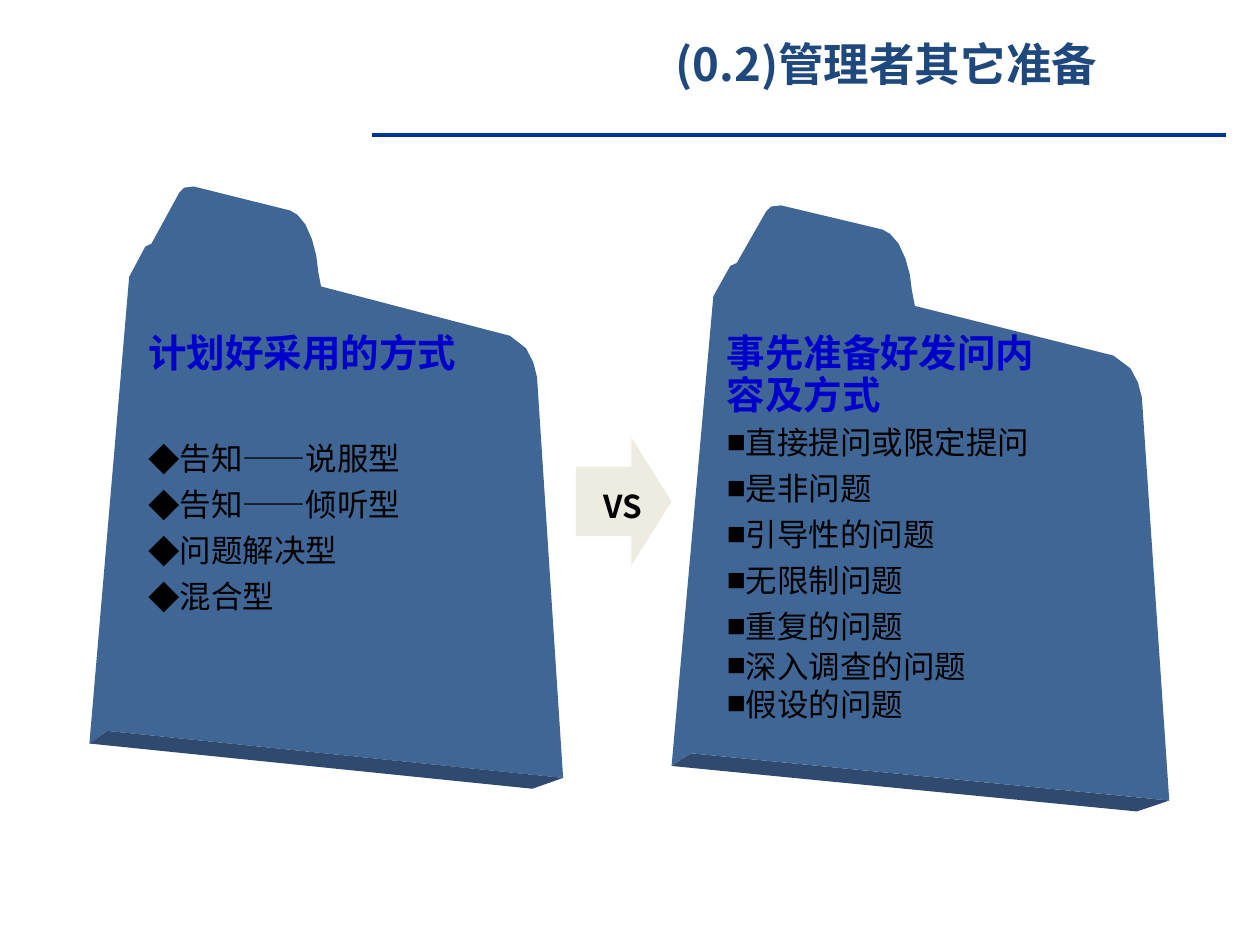
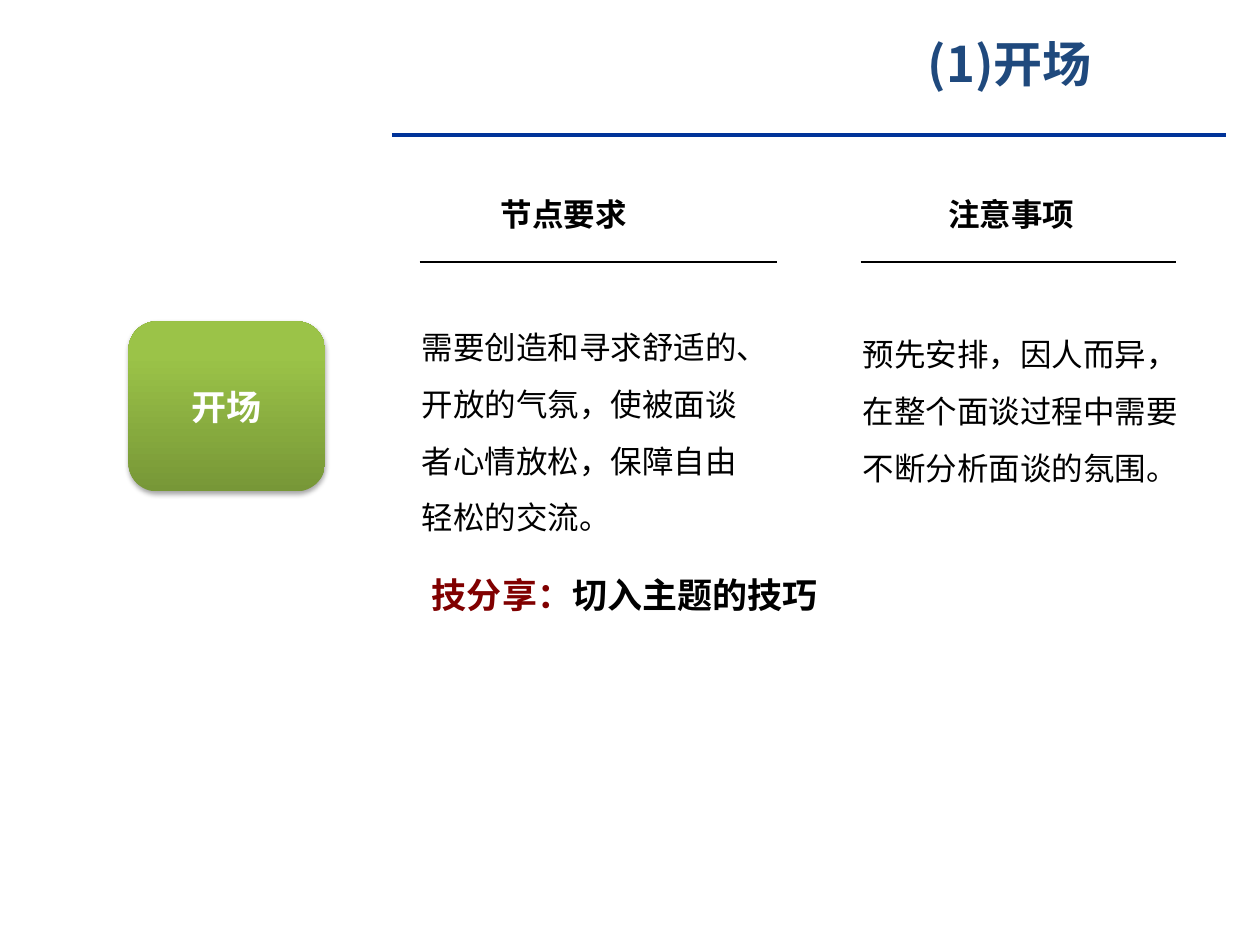
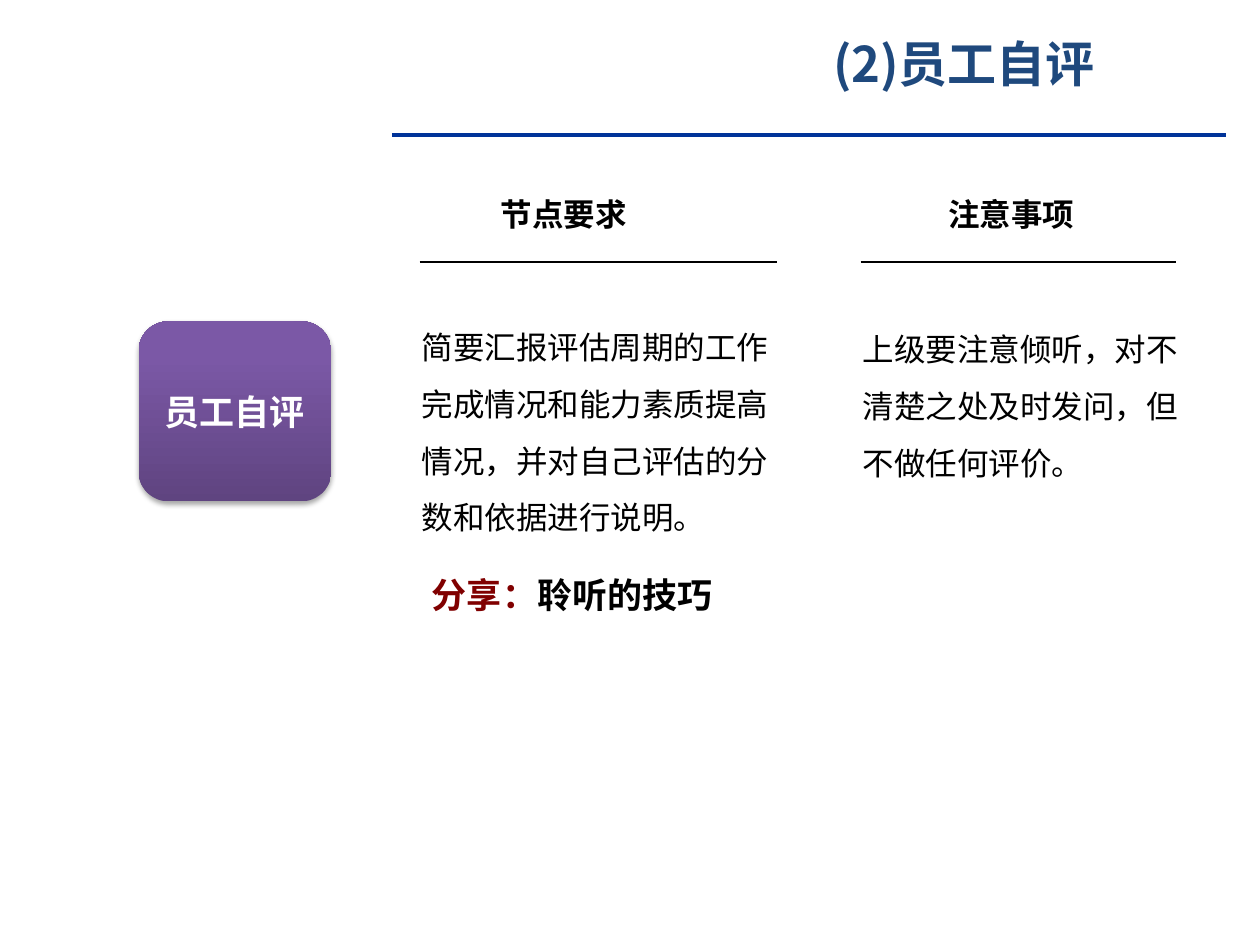
from lxml import etree
from pptx import Presentation
from pptx.dml.color import RGBColor
from pptx.enum.shapes import MSO_CONNECTOR, MSO_SHAPE
from pptx.enum.text import MSO_ANCHOR as ANCHOR, PP_ALIGN as ALIGN
from pptx.oxml import parse_xml
from pptx.oxml.ns import nsdecls, qn
from pptx.util import Inches, Pt

COLORS = {
    "title": "1F497D", "rule": "003399", "black": "000000", "white": "FFFFFF",
    "heading": "0000CC", "tip": "800000", "arrow": "EEECE1",
    "folder_front": "406695", "folder_edge": "2F4A6E",
}
CJK, LATIN = "Noto Sans CJK SC", "Arial"

# Folder outlines in thousandths of the folder's width and height
FOLDER_FRONT = [
    (84, 150), (118, 100), (131, 95), (190, 10), (200, 2), (220, 0), (424, 40),
    (439, 47), (456, 63), (470, 88), (479, 115), (483, 141), (489, 166),
    (888, 248), (922, 269), (937, 292), (945, 317), (1000, 982), (38, 904), (0, 925),
]
FOLDER_EDGE = [(0, 925), (38, 904), (1000, 982), (935, 1000)]


def write(frame, paragraphs, anchor=ANCHOR.TOP):
    """Fill a frame; each paragraph is (format values, runs), each run (text, size, colour, bold, font)."""
    frame.word_wrap = True
    frame.vertical_anchor = anchor
    for index, (values, runs) in enumerate(paragraphs):
        paragraph = frame.paragraphs[0] if index == 0 else frame.add_paragraph()
        for name, value in values.items():
            setattr(paragraph, name, value)
        for text, size, color, bold, typeface in runs:
            run = paragraph.add_run()
            run.text = text
            for name, value in {"size": Pt(size), "bold": bold, "name": typeface}.items():
                setattr(run.font, name, value)
            run.font.color.rgb = RGBColor.from_string(COLORS[color])
            etree.SubElement(run.font._element, qn("a:ea"), typeface=CJK)


def add_rule(slide, left, right, y, color, width):
    rule = slide.shapes.add_connector(
        MSO_CONNECTOR.STRAIGHT, Inches(left), Inches(y), Inches(right), Inches(y))
    rule.line.color.rgb = RGBColor.from_string(COLORS[color])
    rule.line.width = Pt(width)
    etree.SubElement(rule._element.spPr, qn("a:effectLst"))


prs = Presentation()
prs.slide_width, prs.slide_height = Inches(10), Inches(7.5)

# Title and rule of every slide
slides = []
for heading, left, width, size in [
    ("(0.2)管理者其它准备", 4.67, 4.73, 26),
    ("(1)开场", 6.11, 3.81, 28),
    ("(2)员工自评", 5.83, 3.64, 28),
]:
    slide = prs.slides.add_slide(prs.slide_layouts[5])
    title = slide.shapes.title
    title.left, title.top = Inches(left), Inches(0.17)
    title.width, title.height = Inches(width), Inches(0.66)
    write(title.text_frame, [({"alignment": ALIGN.CENTER}, [(heading, size, "title", True, CJK)])],
          ANCHOR.MIDDLE)
    add_rule(slide, 3.11, 9.73, 1.07, "rule", 2)
    slides.append(slide)

# Slide 1: two folders and the arrow between them
preparation, *stages = slides
add_rule(preparation, 2.95, 9.57, 1.07, "rule", 2)

arrow = preparation.shapes.add_shape(
    MSO_SHAPE.RIGHT_ARROW, Inches(4.57), Inches(3.47), Inches(0.76), Inches(1.02))
arrow.adjustments[0], arrow.adjustments[1] = 0.54, 0.42
arrow.fill.solid()
arrow.fill.fore_color.rgb = RGBColor.from_string(COLORS["arrow"])
arrow.line.fill.background()
arrow.shadow.inherit = False
versus = preparation.shapes.add_textbox(Inches(4.62), Inches(3.46), Inches(0.65), Inches(0.76))
write(versus.text_frame, [({"alignment": ALIGN.CENTER, "line_spacing": 2.2},
                           [("VS", 18, "black", True, CJK)])])

for left, top, width, height in [(0.71, 1.48, 3.76, 4.78), (5.33, 1.63, 3.95, 4.81)]:
    for outline, color in [(FOLDER_FRONT, "folder_front"), (FOLDER_EDGE, "folder_edge")]:
        builder = preparation.shapes.build_freeform(
            *outline[0], scale=(Inches(width) / 1000, Inches(height) / 1000))
        builder.add_line_segments(outline[1:], close=True)
        folder = builder.convert_to_shape(Inches(left), Inches(top))
        folder.fill.solid()
        folder.fill.fore_color.rgb = RGBColor.from_string(COLORS[color])
        folder.line.fill.background()
        folder.shadow.inherit = False

# Each item is (text, line spacing, points before)
methods = [("告知——说服型", 0.8, 41), ("告知——倾听型", 0.8, 9),
           ("问题解决型", 0.8, 9), ("混合型", 0.8, 9)]
questions = [("直接提问或限定提问", 0.8, 9), ("是非问题", 0.8, 9), ("引导性的问题", 0.8, 9),
             ("无限制问题", 0.8, 9), ("重复的问题", 0.8, 9),
             ("深入调查的问题", 0.6, 9), ("假设的问题", 0.6, 9)]
for box, headings, heading_spacing, items, bullet, bullet_font, indent in [
    ((1.08, 2.63, 3, 2.43), ["计划好采用的方式"], 0.8, methods, "◆", CJK, 0.25),
    ((5.67, 2.72, 3.29, 4.32), ["事先准备好发问内", "容及方式"], 0.5, questions, "■", LATIN, 0.15),
]:
    frame = preparation.shapes.add_textbox(*map(Inches, box)).text_frame
    write(frame, [({"line_spacing": heading_spacing, "space_before": Pt(11)},
                   [(text, 22, "heading", True, CJK)]) for text in headings]
          + [({"line_spacing": spacing, "space_before": Pt(before)},
              [(text, 18, "black", False, CJK)]) for text, spacing, before in items])
    for paragraph in frame.paragraphs[len(headings):]:
        properties = paragraph._p.get_or_add_pPr()
        properties.set("marL", str(Inches(indent)))
        properties.set("indent", str(-Inches(indent)))
        etree.SubElement(properties, qn("a:buFont"), typeface=bullet_font)
        etree.SubElement(properties, qn("a:buChar"), char=bullet)

# Slides 2 and 3: one stage each, with its requirements and notes
stage_content = [
    {"name": "开场", "badge": (1.02, 2.55, 1.56, 1.35), "gradient": ("779737", "9BC348"),
     "requirement": "需要创造和寻求舒适的、开放的气氛，使被面谈者心情放松，保障自由轻松的交流。",
     "requirement_width": 2.83,
     "note": "预先安排，因人而异，在整个面谈过程中需要不断分析面谈的氛围。",
     "note_top": 2.46, "note_font": CJK, "tip": ("技分享：", "切入主题的技巧")},
    {"name": "员工自评", "badge": (1.1, 2.55, 1.53, 1.43), "gradient": ("5F4480", "7B58A6"),
     "requirement": "简要汇报评估周期的工作完成情况和能力素质提高情况，并对自己评估的分数和依据进行说明。",
     "requirement_width": 3,
     "note": "上级要注意倾听，对不清楚之处及时发问，但不做任何评价。",
     "note_top": 2.42, "note_font": LATIN, "tip": ("分享：", "聆听的技巧")},
]
for slide, stage in zip(stages, stage_content):
    for heading, left, rule_left, rule_right in [
        ("节点要求", 3.42, 3.33, 6.17), ("注意事项", 6.97, 6.83, 9.33),
    ]:
        column = slide.shapes.add_textbox(Inches(left), Inches(1.5), Inches(2.11), Inches(0.4))
        write(column.text_frame, [({"alignment": ALIGN.CENTER},
                                   [(heading, 18, "black", True, CJK)])])
        add_rule(slide, rule_left, rule_right, 2.08, "black", 1)

    for text, left, top, width, height, typeface in [
        (stage["requirement"], 3.25, 2.4, stage["requirement_width"], 1.91, CJK),
        (stage["note"], 6.75, stage["note_top"], 2.83, 1.45, stage["note_font"]),
    ]:
        body = slide.shapes.add_textbox(Inches(left), Inches(top), Inches(width), Inches(height))
        write(body.text_frame, [({"line_spacing": 1.5}, [(text, 18, "black", False, typeface)])],
              ANCHOR.MIDDLE)

    badge = slide.shapes.add_shape(MSO_SHAPE.ROUNDED_RECTANGLE, *map(Inches, stage["badge"]))
    badge.fill.gradient()
    badge.fill.gradient_angle = 90
    for stop, position, color in zip(badge.fill.gradient_stops, (0, 0.8), stage["gradient"]):
        stop.position = position
        stop.color.rgb = RGBColor.from_string(color)
    badge.line.fill.background()
    badge.shadow.inherit = False
    badge._element.spPr.find(qn("a:effectLst")).append(parse_xml(
        f'<a:outerShdw {nsdecls("a")} blurRad="{Pt(3.1)}" dist="{Pt(1.8)}" dir="5400000" '
        'rotWithShape="0"><a:srgbClr val="000000"><a:alpha val="35000"/></a:srgbClr></a:outerShdw>'))
    write(badge.text_frame, [({"alignment": ALIGN.CENTER},
                              [(stage["name"], 20, "white", True, CJK)])], ANCHOR.MIDDLE)

    label, skill = stage["tip"]
    tip = slide.shapes.add_textbox(Inches(3.33), Inches(4.5), Inches(3.86), Inches(0.43))
    write(tip.text_frame, [({}, [(label, 20, "tip", True, LATIN),
                                 (skill, 20, "black", True, LATIN)])], ANCHOR.MIDDLE)

prs.save("out.pptx")
